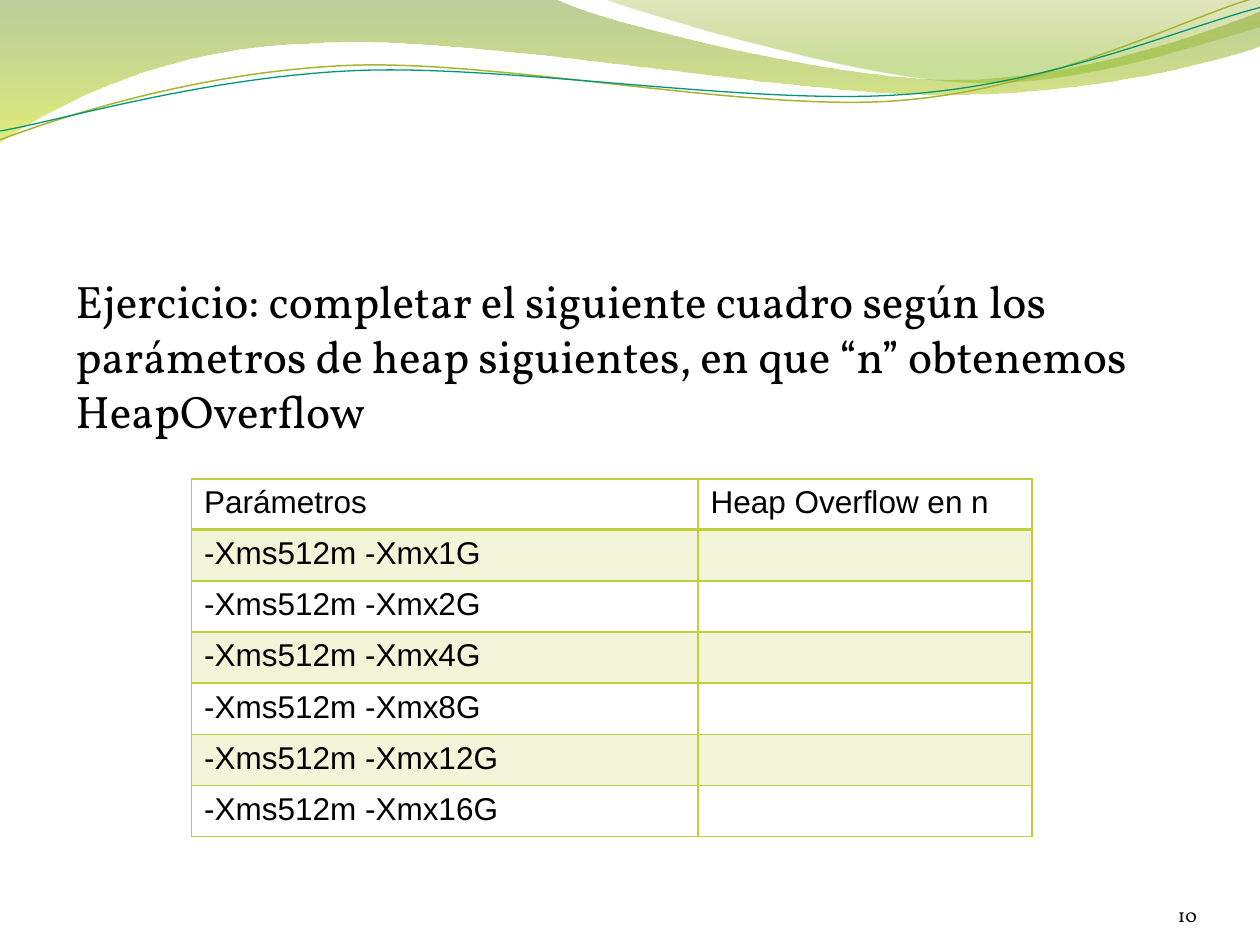
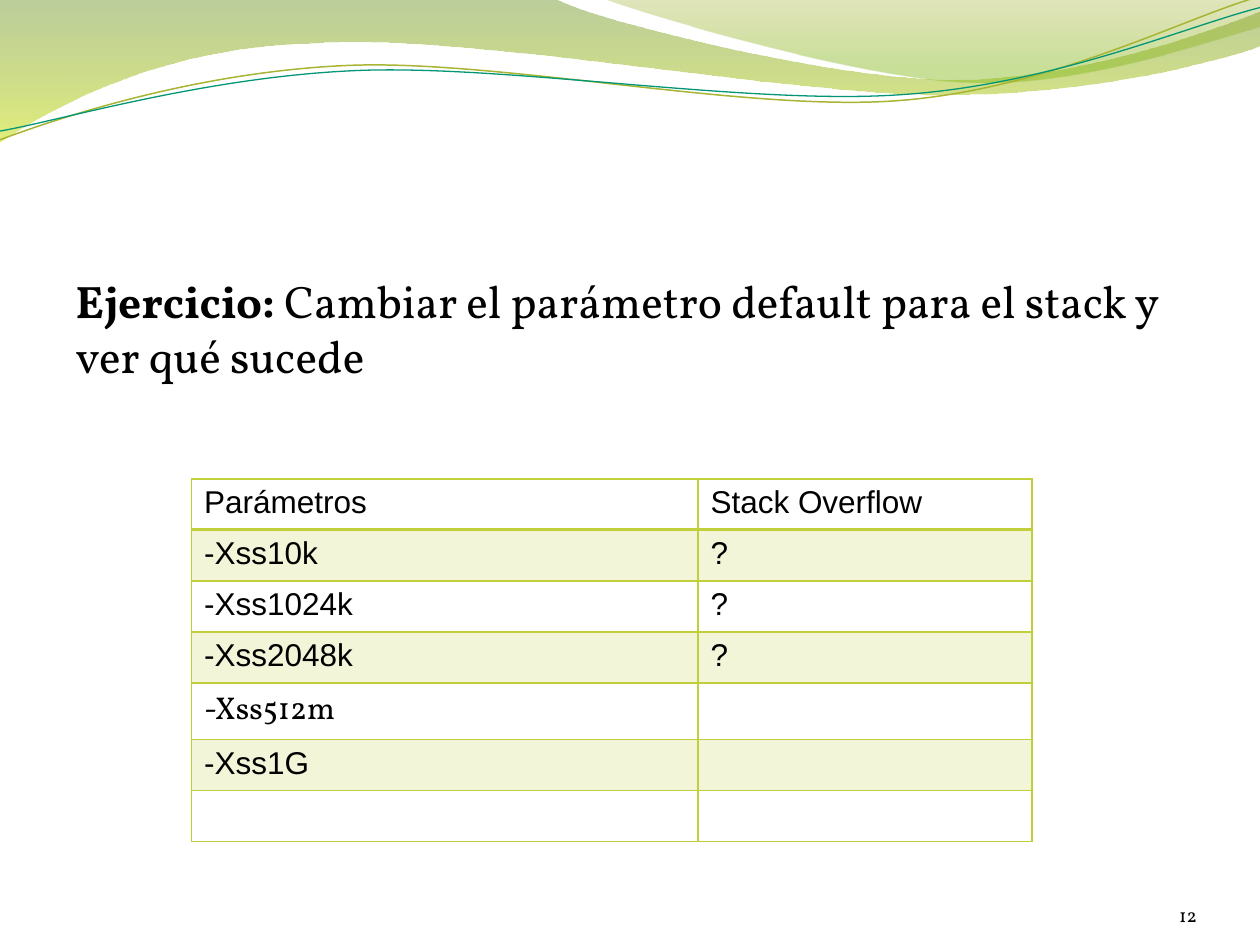
from math import cos, radians, sin

from lxml.etree import SubElement
from pptx import Presentation
from pptx.dml.color import RGBColor as RGB
from pptx.enum.text import MSO_ANCHOR as Anchor, MSO_AUTO_SIZE as AutoSize, PP_ALIGN as Align
from pptx.oxml.ns import qn
from pptx.util import Emu, Pt

PX = 9144  # 100 px to the inch

BLACK = RGB(0x00, 0x00, 0x00)
LIME = RGB(0xC0, 0xCF, 0x3A)
OLIVE = RGB(0xA8, 0xB5, 0x32)
TEAL = RGB(0x02, 0x96, 0x76)
MOSS = RGB(0x66, 0x8F, 0x1B)
YELLOW = RGB(0xCA, 0xE0, 0x0E)
KHAKI = RGB(0x99, 0xA7, 0x19)
LEAF = RGB(0x80, 0xB8, 0x14)

SERIF, SANS = "Vollkorn", "Arial"

# Waves in px: a pair is a straight step, six numbers are a Bézier curve
BANDS = [
    ([(0, 0), (440, -1), (475, 17, 663, 63, 758, 63), (853, 63, 958, 26, 1000, 9),
      (1001, 36), (983, 44, 869, 76, 746, 75), (622, 75, 381, 28, 257, 34),
      (129, 36, 46, 83, -1, 113)],
     [(0, MOSS, 44), (100, YELLOW, 55)]),
    ([(479, -1), (509, 11, 682, 62, 768, 65), (855, 69, 961, 32, 1000, 21), (1000, 0)],
     [(0, KHAKI, 29), (80, LEAF, 44), (100, LEAF, 44)]),
]
STRANDS = [
    ([(0, 111), (48, 93, 157, 57, 276, 52), (395, 47, 592, 89, 712, 80),
      (833, 71, 938, 15, 997, -2)], OLIVE, 0.85),
    ([(0, 104), (47, 96, 163, 61, 283, 56), (402, 51, 597, 84, 717, 75),
      (836, 67, 941, 21, 1000, 6)], TEAL, 0.75),
]
STRAND_PIVOT = (499, 58)
STRAND_TILT = 2.7  # degrees, anticlockwise


def add_color(parent, color, opacity=100):
    clr = SubElement(parent, qn("a:srgbClr"), val=str(color))
    if opacity < 100:
        SubElement(clr, qn("a:alpha"), val=str(opacity * 1000))


def untilt(x, y):
    """Turn a strand point back to where it lies before the tilt."""
    (px, py), a = STRAND_PIVOT, radians(STRAND_TILT)
    return (px + (x - px) * cos(a) - (y - py) * sin(a),
            py + (x - px) * sin(a) + (y - py) * cos(a))


class Deck:
    def __init__(self):
        self.prs = Presentation()
        self.prs.slide_width, self.prs.slide_height = Emu(1000 * PX), Emu(750 * PX)
        self.slide = None

    def box(self, *lengths):
        return [Emu(n * PX) for n in lengths]

    def style(self, r, **fmt):
        fmt = {"name": SERIF, "size": Pt(18), "bold": False, **fmt}
        for key, value in fmt.items():
            setattr(r.font, key, value)
        r.font.color.rgb = BLACK

    def new_slide(self, number):
        self.slide = self.prs.slides.add_slide(self.prs.slide_layouts[1])
        title = self.slide.shapes.title.element
        title.getparent().remove(title)
        for steps, stops in BANDS:
            self.band(steps, stops)
        for steps, color, width in STRANDS:
            self.strand(steps, color, width)
        self.page_number(number)

    def outline(self, steps, close, move=lambda x, y: (x, y)):
        """Build a freeform and join each three points of a curve into one Bézier."""
        points = [move(*step[i:i + 2]) for step in steps for i in range(0, len(step), 2)]
        points = [(round(x * PX), round(y * PX)) for x, y in points]
        builder = self.slide.shapes.build_freeform(*points[0], scale=1.0)
        builder.add_line_segments(points[1:], close=close)
        sp = builder.convert_to_shape()
        lines = iter(list(sp.element.iter(qn("a:lnTo"))))
        for step in steps[1:]:
            line = next(lines)
            if len(step) == 6:
                curve = SubElement(line.getparent(), qn("a:cubicBezTo"))
                line.addprevious(curve)
                for part in (line, next(lines), next(lines)):
                    curve.append(part[0])
                    part.getparent().remove(part)
        sp.shadow.inherit = False
        sp.fill.background()
        return sp

    def band(self, steps, stops):
        sp = self.outline(steps, True)
        sp.line.fill.background()
        # Gradient with transparent stops, running downwards
        spPr = sp.element.spPr
        grad = SubElement(spPr, qn("a:gradFill"), rotWithShape="1")
        stop_list = SubElement(grad, qn("a:gsLst"))
        for pos, color, opacity in stops:
            add_color(SubElement(stop_list, qn("a:gs"), pos=str(pos * 1000)), color, opacity)
        SubElement(grad, qn("a:lin"), ang="5400000", scaled="0")
        spPr.replace(spPr.find(qn("a:noFill")), grad)

    def strand(self, steps, color, width):
        sp = self.outline(steps, False, untilt)
        sp.rotation = 360 - STRAND_TILT
        sp.line.color.rgb = color
        sp.line.width = Pt(width)

    def page_number(self, number):
        tf = self.slide.shapes.add_textbox(*self.box(867, 695, 83, 40)).text_frame
        fmt = {"margin_left": 0, "margin_top": 0, "margin_right": 0, "margin_bottom": 0,
               "word_wrap": True, "vertical_anchor": Anchor.BOTTOM}
        for key, value in fmt.items():
            setattr(tf, key, value)
        p = tf.paragraphs[0]
        p.alignment = Align.RIGHT
        r = p.add_run()
        r.text = str(number)
        self.style(r, size=Pt(11))

    def exercise(self, *runs):
        body = self.slide.placeholders[1]
        body.left, body.top, body.width, body.height = self.box(50, 212, 900, 480)
        tf = body.text_frame
        tf.auto_size = AutoSize.NONE
        p = tf.paragraphs[0]
        pPr = p._p.get_or_add_pPr()
        pPr.set("marL", "0")
        pPr.set("indent", "0")
        SubElement(pPr, qn("a:buNone"))
        p.space_before = Pt(0)
        for text, bold in runs:
            r = p.add_run()
            r.text = text
            self.style(r, size=Pt(26), bold=bold)

    def borders(self, cell, row):
        tcPr = cell._tc.get_or_add_tcPr()
        for side in "LRTB":
            heavy = (row, side) in ((0, "B"), (1, "T"))
            ln = SubElement(tcPr, qn(f"a:ln{side}"), w=str(Pt(2 if heavy else 1)))
            add_color(SubElement(ln, qn("a:solidFill")), LIME)

    def table(self, rows, serif_text=None):
        """Draw a two-column table; the row of serif_text is set in serif and taller."""
        left, top, width, height = self.box(152, 380, 667, 284)
        table = self.slide.shapes.add_table(len(rows), 2, left, top, width, height).table
        table.first_row = table.horz_banding = False
        for column, size in zip(table.columns, self.box(402, 265)):
            column.width = size
        for i, texts in enumerate(rows):
            serif = serif_text in texts
            table.rows[i].height = Emu(height // len(rows) + (4 * PX if serif else 0))
            for cell, text in zip(table.rows[i].cells, texts):
                self.borders(cell, i)
                if i % 2:
                    cell.fill.solid()
                    cell.fill.fore_color.rgb = LIME
                    clr = cell._tc.tcPr.find(qn("a:solidFill"))[0]
                    SubElement(clr, qn("a:alpha"), val="20000")
                else:
                    cell.fill.background()
                if text:
                    r = cell.text_frame.paragraphs[0].add_run()
                    r.text = text
                    self.style(r, name=SERIF if serif else SANS)


def main():
    deck = Deck()

    # Heap exercise
    deck.new_slide(10)
    deck.exercise(("Ejercicio: completar el siguiente cuadro según los parámetros de heap "
                   "siguientes, en que “n” obtenemos HeapOverflow", False))
    deck.table([("Parámetros", "Heap Overflow en n")]
               + [(f"-Xms512m -Xmx{size}G", "") for size in (1, 2, 4, 8, 12, 16)])

    # Stack exercise
    deck.new_slide(12)
    deck.exercise(("Ejercicio:", True),
                  (" Cambiar el parámetro default para el stack y ver qué sucede", False))
    deck.table([("Parámetros", "Stack Overflow"), ("-Xss10k", "?"), ("-Xss1024k", "?"),
                ("-Xss2048k", "?"), ("-Xss512m", ""), ("-Xss1G", ""), ("", "")],
               serif_text="-Xss512m")

    deck.prs.save("out.pptx")


if __name__ == "__main__":
    main()
